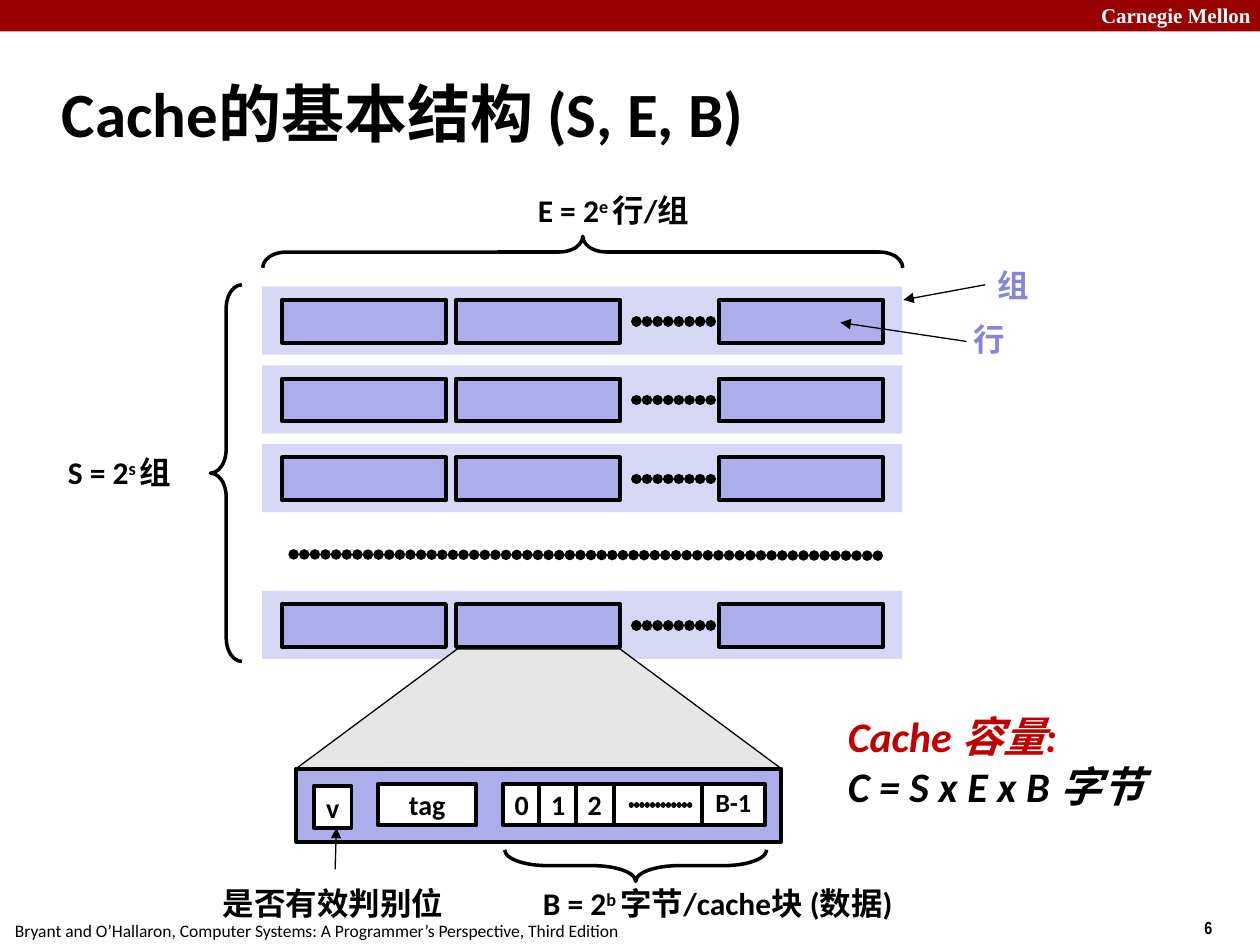
from pptx import Presentation
from pptx import util as u
from pptx.dml.color import RGBColor
from pptx.enum import shapes, text
from pptx.oxml import parse_xml
from pptx.oxml.ns import nsdecls

BLACK = RGBColor(0, 0, 0)
WHITE = RGBColor(0xFF, 0xFF, 0xFF)
RED = RGBColor(0x99, 0, 0)
ACCENT = RGBColor(0xC0, 0, 0)
SET_FILL = RGBColor(0xD6, 0xD6, 0xF5)
LINE_FILL = RGBColor(0xAD, 0xAD, 0xEB)
LABEL = RGBColor(0x85, 0x85, 0xE0)
GREY = RGBColor(0xE6, 0xE6, 0xE6)
RECT = shapes.MSO_SHAPE.RECTANGLE
COLS, ROWS = 100, 75


def write(p, words, size=18, color=BLACK, font="Calibri", bold=True, italic=False):
    """Fill a paragraph; every second part between ^ marks is superscript."""
    for i, part in enumerate(words.split("^")):
        r = p.add_run()
        r.text = part
        r.font.size, r.font.name = u.Pt(size), font
        r.font.bold, r.font.italic = bold, italic
        r.font.color.rgb = color
        if i % 2:
            r.font._element.set("baseline", "30000")


class Deck:
    def __init__(self):
        self.prs = Presentation()
        self.prs.slide_width, self.prs.slide_height = u.Inches(10), u.Inches(7.5)
        self.s = self.prs.slides.add_slide(self.prs.slide_layouts[5])

    def x(self, col):
        return round(self.prs.slide_width * col / COLS)

    def y(self, row):
        return round(self.prs.slide_height * row / ROWS)

    def place(self, col, row, w, h):
        return self.x(col), self.y(row), self.x(w), self.y(h)

    def paint(self, sp, fill=None, line=None):
        sp.shadow.inherit = False
        if fill is None:
            sp.fill.background()
        else:
            sp.fill.solid()
            sp.fill.fore_color.rgb = fill
        if line:
            sp.line.color.rgb = BLACK
            sp.line.width = u.Pt(line)
        else:
            sp.line.fill.background()
        return sp

    def title(self, words, *box):
        sp = self.s.shapes.title
        sp.left, sp.top, sp.width, sp.height = self.place(*box)
        tf = sp.text_frame
        tf.vertical_anchor = text.MSO_ANCHOR.MIDDLE
        tf.auto_size = text.MSO_AUTO_SIZE.NONE
        tf.paragraphs[0].alignment = text.PP_ALIGN.LEFT
        write(tf.paragraphs[0], words, size=36)

    def label(self, words, *box, wrap=False, **style):
        tf = self.s.shapes.add_textbox(*self.place(*box)).text_frame
        tf.word_wrap = wrap
        tf.auto_size = text.MSO_AUTO_SIZE.SHAPE_TO_FIT_TEXT
        write(tf.paragraphs[0], words, **style)
        return tf

    def rect(self, *box, fill=WHITE, line=2.25, parent=None):
        sp = (parent or self.s).shapes.add_shape(RECT, *self.place(*box))
        return self.paint(sp, fill, line)

    def cell(self, words, *box, size=16, spacing=None):
        tf = self.rect(*box).text_frame
        tf.word_wrap = False
        tf.vertical_anchor = text.MSO_ANCHOR.MIDDLE
        p = tf.paragraphs[0]
        p.alignment, p.line_spacing = text.PP_ALIGN.CENTER, spacing
        write(p, words, size=size)

    def brace(self, *box, rotation=0, curve=0.75):
        sp = self.s.shapes.add_shape(shapes.MSO_SHAPE.LEFT_BRACE, *self.place(*box))
        sp.adjustments[0], sp.rotation = curve, rotation
        self.paint(sp, line=2)

    def polygon(self, points, fill, line):
        pts = [(self.x(c), self.y(r)) for c, r in points]
        fb = self.s.shapes.build_freeform(*pts[0])
        fb.add_line_segments(pts[1:], close=True)
        self.paint(fb.convert_to_shape(), fill, line)

    def connector(self, c1, r1, c2, r2, width, parent=None):
        cn = (parent or self.s).shapes.add_connector(
            shapes.MSO_CONNECTOR.STRAIGHT, self.x(c1), self.y(r1), self.x(c2), self.y(r2))
        cn.line.color.rgb = BLACK
        cn.line.width = u.Pt(width)
        cn._element.spPr.append(parse_xml(f"<a:effectLst {nsdecls('a')}/>"))
        return cn

    def arrow(self, *ends):
        ln = self.connector(*ends, 0.75).line._get_or_add_ln()
        ln.append(parse_xml(f'<a:tailEnd {nsdecls("a")} type="triangle"/>'))

    def dots(self, *ends, width=6, parent=None):
        cn = self.connector(*ends, width, parent)
        ln = cn.line._get_or_add_ln()
        ln.set("cap", "rnd")
        ln.append(parse_xml(f'<a:custDash {nsdecls("a")}><a:ds d="1000" sp="100000"/></a:custDash>'))
        return cn

    def cache_set(self, row):
        g = self.s.shapes.add_group_shape()
        self.rect(20.8, row, 50.8, 5.4, fill=SET_FILL, line=None, parent=g)
        for col in (22.4, 36.2, 57.1):
            box = self.rect(col, row + 1.05, 13, 3.4, fill=LINE_FILL, parent=g)
        mid = row + 2.75
        self.dots(50.5, mid, 57.1, mid, parent=g).end_connect(box, 1)


def main():
    d = Deck()

    # Header band, title and footer
    d.rect(0, 0, COLS, 2.5, fill=RED, line=None)
    d.label("Carnegie Mellon", 86.4, -0.3, 14.3, 3, wrap=True,
            size=12, color=WHITE, font="Times New Roman")
    d.label("6", 94.6, 72.3, 7.5, 2.7, size=10, font="Arial Narrow")
    d.label("Bryant and O’Hallaron, Computer Systems: A Programmer’s Perspective, Third Edition",
            0.2, 72.5, 50.1, 2.7, size=10, bold=False)
    d.title("Cache的基本结构 (S, E, B)", 3.9, 4.8, 83, 8.3)

    # Sets of lines
    for row in (22.75, 29, 35.25, 46.9):
        d.cache_set(row)
    d.dots(23.3, 44, 70, 44.1)

    # Dimensions of the cache
    d.brace(45, -5.4, 2.5, 50.8, rotation=90)
    d.brace(16.7, 22.6, 2.5, 29.9)
    d.label("E = 2^e ^行/组", 41.7, 14.7, 16, 4)
    d.label("S = 2^s ^组", 4.4, 35.5, 11, 4)

    # Pointers to a set and a line
    d.arrow(78.2, 22.6, 71.7, 23.8)
    d.label("组", 78.2, 20.6, 4.5, 4, color=LABEL)
    d.arrow(76.7, 27.1, 66.7, 25.6)
    d.label("行", 76.3, 24.9, 4.5, 4, color=LABEL)

    # Enlarged line
    d.polygon([(23.5, 61), (36.3, 51.5), (49.2, 51.5), (62, 61)], GREY, 0.75)
    d.rect(23.5, 61, 38.5, 5.8, fill=LINE_FILL)
    for i in range(3):
        d.cell(str(i), 39.9 + 2.9 * i, 62.2, 3, 3.3)
    d.cell("B-1", 55.7, 62.2, 5, 3.3, size=15, spacing=0.9)
    d.rect(48.7, 62.2, 7, 3.3)
    d.dots(50.1, 63.9, 55.1, 63.9, width=3)
    d.cell("tag", 30, 62.2, 7.8, 3.3)
    d.cell("v", 24.9, 62.4, 3, 3.3)

    # Notes under the line
    d.brace(49.2, 58.3, 2.5, 20.8, rotation=270, curve=1.36)
    d.label("B = 2^b ^字节/cache块 (数据)", 42.1, 69.7, 33.6, 4)
    d.label("是否有效判别位", 16.7, 69.7, 19.5, 4)
    d.arrow(26.6, 69, 26.7, 65.7)

    # Capacity
    tf = d.label("Cache 容量:", 66.3, 55.9, 26.2, 9, size=24, color=ACCENT, italic=True)
    write(tf.add_paragraph(), "C = S x E x B 字节", size=24, italic=True)

    d.prs.save("out.pptx")


if __name__ == "__main__":
    main()
